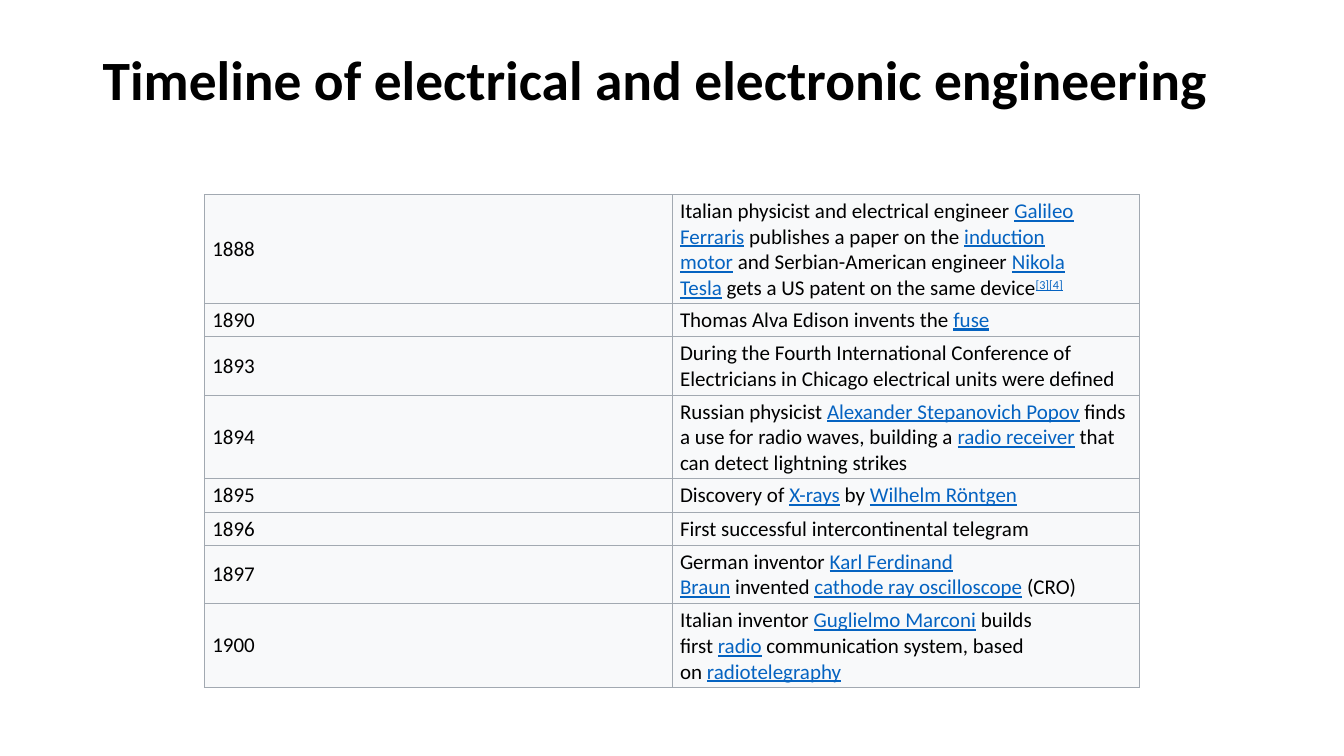
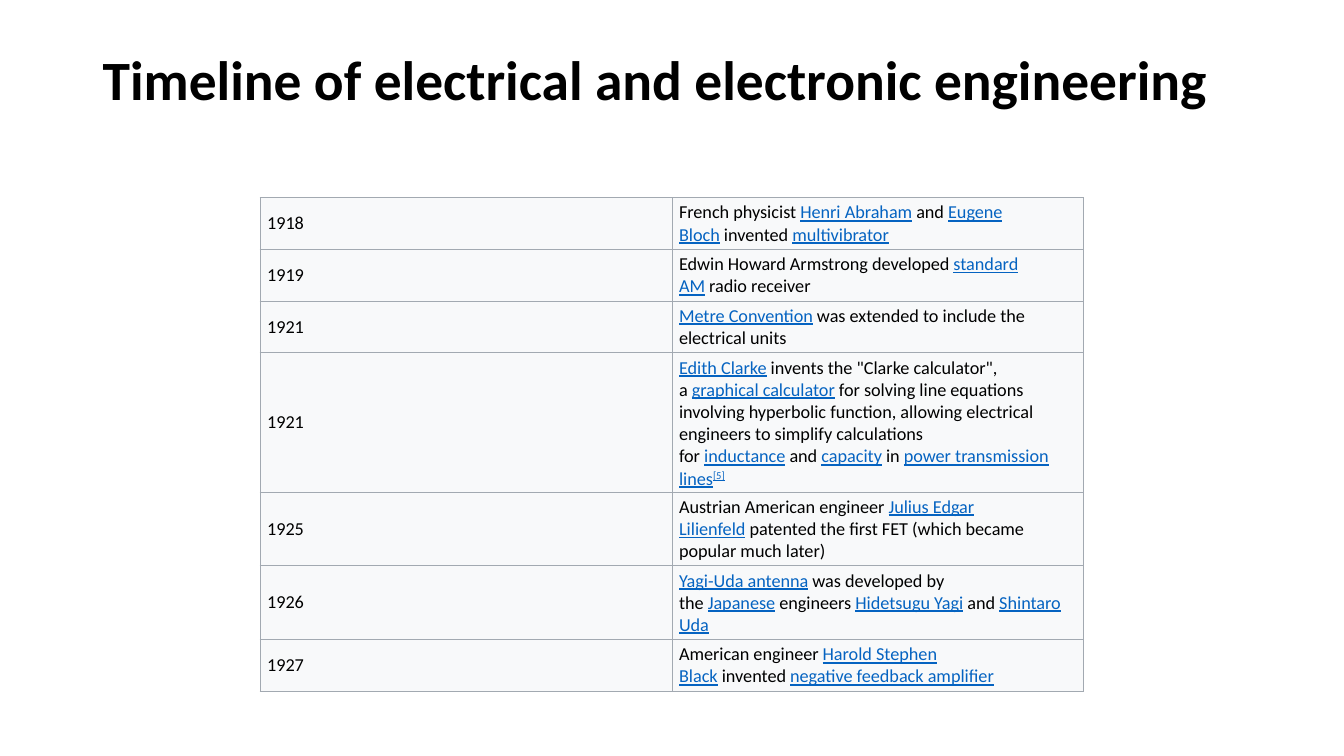
from dataclasses import dataclass

from lxml.etree import SubElement
from pptx import Presentation
from pptx.dml.color import RGBColor
from pptx.enum.text import MSO_ANCHOR
from pptx.oxml.ns import qn
from pptx.util import Inches, Pt


@dataclass(frozen=True)
class Theme:
    font: str = "Calibri"
    ink: str = "000000"
    link: str = "0563C1"
    cell: str = "F8F9FA"
    border: str = "A2A9B1"
    border_width: float = 0.75
    title_size: float = 39.6
    title_spacing: float = 0.9
    line_pitch: float = 1.165
    cell_inset: float = 0.04
    superscript: int = 30000


@dataclass(frozen=True)
class Event:
    """One table row; in the text, links stand between bars."""
    year: str
    lines: int
    text: str
    note: str = ""


class Deck:
    """Holds the style and the current slide; the grid is 100 columns by 75 rows."""
    COLUMNS, ROWS = 100, 75
    NO_BREAK_SPACE = chr(160)

    def __init__(self, theme):
        self.theme = theme
        self.presentation = Presentation()
        self.presentation.slide_width = Inches(13.33)
        self.presentation.slide_height = Inches(7.5)
        self.slide = None

    def across(self, columns):
        return round(self.presentation.slide_width * columns / self.COLUMNS)

    def down(self, rows):
        return round(self.presentation.slide_height * rows / self.ROWS)

    def add_slide(self):
        self.slide = self.presentation.slides.add_slide(self.presentation.slide_layouts[6])

    def add_run(self, paragraph, text, size, color, bold=False, underline=False, raised=False):
        run = paragraph.add_run()
        run.text = text
        font = run.font
        font.name, font.size = self.theme.font, Pt(size)
        font.bold, font.underline = bold, underline
        font.color.rgb = RGBColor.from_string(color)
        if raised:
            run._r.get_or_add_rPr().set("baseline", str(self.theme.superscript))

    def add_title(self, text):
        box = self.slide.shapes.add_textbox(
            self.across(6.9), self.down(4), self.across(86.25), self.down(14.5))
        frame = box.text_frame
        frame.word_wrap = True
        frame.vertical_anchor = MSO_ANCHOR.TOP
        frame.margin_top = Inches(0.12)
        paragraph = frame.paragraphs[0]
        paragraph.line_spacing = self.theme.title_spacing
        self.add_run(paragraph, text, self.theme.title_size, self.theme.ink, bold=True)

    def add_linked_text(self, paragraph, text, size):
        """Odd pieces are links; a space next to a link does not break."""
        for index, piece in enumerate(text.split("|")):
            is_link = index % 2 == 1
            if piece.startswith(" "):
                piece = self.NO_BREAK_SPACE + piece[1:]
            if piece.endswith(" "):
                piece = piece[:-1] + self.NO_BREAK_SPACE
            if piece:
                color = self.theme.link if is_link else self.theme.ink
                self.add_run(paragraph, piece, size, color, underline=is_link)

    def style_cell(self, cell, side_inset):
        cell.vertical_anchor = MSO_ANCHOR.MIDDLE
        cell.margin_left = cell.margin_right = Inches(side_inset)
        cell.margin_top = cell.margin_bottom = Inches(self.theme.cell_inset)
        properties = cell._tc.get_or_add_tcPr()
        for side in ("a:lnL", "a:lnR", "a:lnT", "a:lnB"):
            line = SubElement(properties, qn(side), w=str(Pt(self.theme.border_width)))
            fill = SubElement(line, qn("a:solidFill"))
            SubElement(fill, qn("a:srgbClr"), val=self.theme.border)
        cell.fill.solid()
        cell.fill.fore_color.rgb = RGBColor.from_string(self.theme.cell)

    def add_timeline(self, events, top, width, size, side_inset):
        """A centred table with equal columns; row height follows the line count."""
        heights = [Inches(2 * self.theme.cell_inset) + Pt(event.lines * size * self.theme.line_pitch)
                   for event in events]
        table = self.slide.shapes.add_table(
            len(events), 2, self.across((self.COLUMNS - width) / 2), self.down(top),
            self.across(width), sum(heights)).table
        table.first_row = table.horz_banding = False
        for row, height, event in zip(table.rows, heights, events):
            row.height = height
            year_cell, event_cell = row.cells
            for cell in (year_cell, event_cell):
                self.style_cell(cell, side_inset)
            self.add_run(year_cell.text_frame.paragraphs[0], event.year, size, self.theme.ink)
            paragraph = event_cell.text_frame.paragraphs[0]
            self.add_linked_text(paragraph, event.text, size)
            if event.note:
                self.add_run(paragraph, event.note, size, self.theme.link,
                             underline=True, raised=True)


TITLE = "Timeline of electrical and electronic engineering"

EVENTS_TO_1900 = [
    Event("1888", 4, "Italian physicist and electrical engineer |Galileo Ferraris| publishes a paper "
          "on the |induction motor| and Serbian-American engineer |Nikola Tesla| gets a US patent "
          "on the same device", "[3][4]"),
    Event("1890", 1, "Thomas Alva Edison invents the |fuse|"),
    Event("1893", 2, "During the Fourth International Conference of Electricians in Chicago "
          "electrical units were defined"),
    Event("1894", 3, "Russian physicist |Alexander Stepanovich Popov| finds a use for radio waves, "
          "building a |radio receiver| that can detect lightning strikes"),
    Event("1895", 1, "Discovery of |X-rays| by |Wilhelm Röntgen|"),
    Event("1896", 1, "First successful intercontinental telegram"),
    Event("1897", 2, "German inventor |Karl Ferdinand Braun| invented "
          "|cathode ray oscilloscope| (CRO)"),
    Event("1900", 3, "Italian inventor |Guglielmo Marconi| builds first |radio| communication "
          "system, based on |radiotelegraphy|"),
]

EVENTS_FROM_1918 = [
    Event("1918", 2, "French physicist |Henri Abraham| and |Eugene Bloch| invented |multivibrator|"),
    Event("1919", 2, "Edwin Howard Armstrong developed |standard AM| radio receiver"),
    Event("1921", 2, "|Metre Convention| was extended to include the electrical units"),
    Event("1921", 6, "|Edith Clarke| invents the \"Clarke calculator\", a |graphical calculator| for "
          "solving line equations involving hyperbolic function, allowing electrical engineers to "
          "simplify calculations for |inductance| and |capacity| in |power transmission lines|",
          "[5]"),
    Event("1925", 3, "Austrian American engineer |Julius Edgar Lilienfeld| patented the first FET "
          "(which became popular much later)"),
    Event("1926", 3, "|Yagi-Uda antenna| was developed by the |Japanese| engineers "
          "|Hidetsugu Yagi| and |Shintaro Uda|"),
    Event("1927", 2, "American engineer |Harold Stephen Black| invented "
          "|negative feedback amplifier|"),
]


def main():
    deck = Deck(Theme())
    timelines = [
        dict(events=EVENTS_TO_1900, top=19.3, width=69.6, size=15, side_inset=0.08),
        dict(events=EVENTS_FROM_1918, top=19.6, width=61.3, size=13, side_inset=0.07),
    ]
    for timeline in timelines:
        deck.add_slide()
        deck.add_title(TITLE)
        deck.add_timeline(**timeline)
    deck.presentation.save("out.pptx")


if __name__ == "__main__":
    main()
